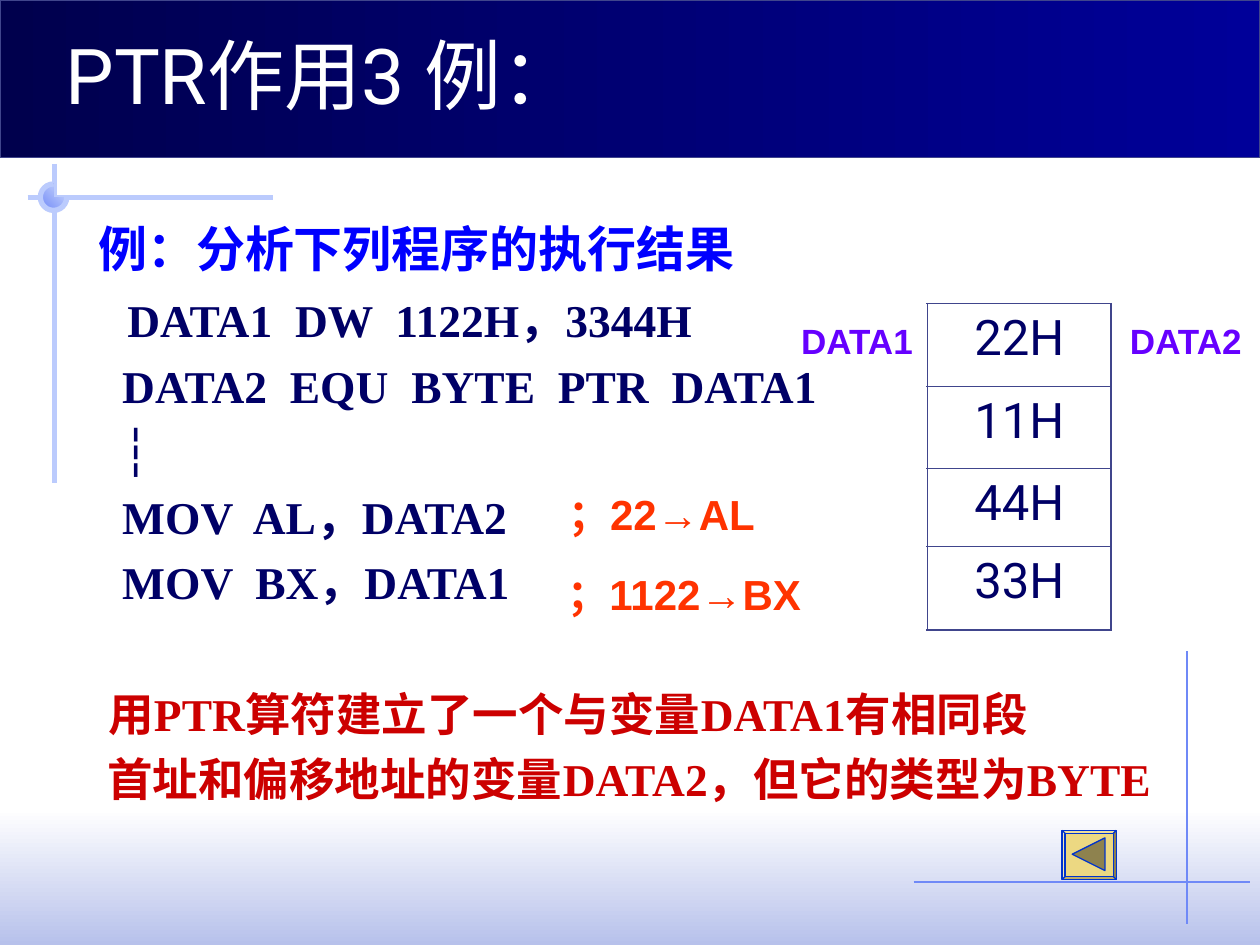
from lxml import etree
from pptx import Presentation
from pptx.dml.color import RGBColor
from pptx.enum.shapes import MSO_CONNECTOR, MSO_SHAPE
from pptx.enum.text import MSO_ANCHOR, MSO_AUTO_SIZE, PP_ALIGN
from pptx.oxml.ns import qn
from pptx.util import Inches, Pt

STRAIGHT = MSO_CONNECTOR.STRAIGHT
RECTANGLE, PIE, ARC, BEVEL = MSO_SHAPE.RECTANGLE, MSO_SHAPE.PIE, MSO_SHAPE.ARC, MSO_SHAPE.BEVEL
LEFT, CENTER = PP_ALIGN.LEFT, PP_ALIGN.CENTER
TOP, BOTTOM = MSO_ANCHOR.TOP, MSO_ANCHOR.BOTTOM
NO_FIT = MSO_AUTO_SIZE.NONE

NAVY, BLUE, RED = "000066", "0000FF", "CC0000"
PALE, RULE, BORDER = "BBCBFD", "6F89F7", "40458C"

TITLE = "PTR作用3 例："
# text, size, colour, indent in inches, space before in points
BODY = [
    ("例：分析下列程序的执行结果", 28, BLUE, 0.26, 0),
    ("DATA1  DW  1122H，3344H", 26, NAVY, 0.49, 8.5),
    ("DATA2  EQU  BYTE  PTR  DATA1", 26, NAVY, 0.45, 6.5),
    ("┆", 26, NAVY, 0.45, 6.5),
    ("MOV  AL，DATA2", 26, NAVY, 0.45, 6.5),
    ("MOV  BX，DATA1", 26, NAVY, 0.45, 6.5),
    ("用PTR算符建立了一个与变量DATA1有相同段", 26, RED, 0.34, 44),
    ("首址和偏移地址的变量DATA2，但它的类型为BYTE", 26, RED, 0.33, 6.5),
]
MEMORY = [("22H", 0.66), ("11H", 0.65), ("44H", 0.62), ("33H", 0.66)]
# text, place, size, colour, alignment, wrap
LABELS = [
    ("DATA1", (6.26, 2.49, 1.13, 0.44), 20, "6600FF", LEFT, False),
    ("DATA2", (8.87, 2.49, 1.13, 0.44), 20, "6600FF", LEFT, False),
    ("；22→AL", (4.33, 3.83, 1.84, 0.5), 24, "FF3300", CENTER, True),
    ("；1122→BX", (4.13, 4.46, 2.6, 0.5), 24, "FF3300", CENTER, True),
]
# start, end, colour, width
RULES = [
    ((9.42, 5.17), (9.42, 7.33), RULE, 0.75),
    ((7.25, 7), (9.92, 7), RULE, 0.75),
    ((0.22, 1.57), (2.17, 1.57), PALE, 3),
    ((0.43, 1.3), (0.43, 3.83), PALE, 3),
]
BALL = (0.32, 1.46, 0.21, 0.21)


def color(code):
    """Turn a hex string into a colour."""
    return RGBColor.from_string(code)


def lengths(values):
    """Turn numbers into inches."""
    return [Inches(value) for value in values]


def write(para, text, font="Arial", size=24, fill=NAVY, bold=False, align=LEFT):
    """Put formatted text into a paragraph."""
    para.alignment = align
    span = para.add_run()
    span.text = text
    span.font.name, span.font.size, span.font.bold = font, Pt(size), bold
    span.font.color.rgb = color(fill)


def paint(shape, fills=(), angle=0, line=None, width=0.75):
    """Give a shape no, one or two fill colours and an optional outline."""
    shape.shadow.inherit = False
    if len(fills) == 2:
        shape.fill.gradient()
        shape.fill.gradient_angle = angle
        for stop, code in zip(shape.fill.gradient_stops, fills):
            stop.color.rgb = color(code)
    elif fills:
        shape.fill.solid()
        shape.fill.fore_color.rgb = color(fills[0])
    else:
        shape.fill.background()
    if line:
        shape.line.color.rgb = color(line)
        shape.line.width = Pt(width)
    else:
        shape.line.fill.background()


def add_preset(page, kind, place, **look):
    """Add a painted preset shape."""
    shape = page.shapes.add_shape(kind, *lengths(place))
    paint(shape, **look)
    return shape


def add_rule(page, start, end, code, width):
    """Add a straight line without shadow."""
    rule = page.shapes.add_connector(STRAIGHT, *lengths(start + end))
    rule.line.color.rgb = color(code)
    rule.line.width = Pt(width)
    etree.SubElement(rule.element.spPr, qn("a:effectLst"))


def add_backdrop(page):
    """Draw the bands, rules and ball behind the text."""
    add_preset(page, RECTANGLE, (0, 6.42, 10, 1.08), fills=("FFFFFF", "B7C1EB"), angle=270)
    for rule in RULES:
        add_rule(page, *rule)
    add_preset(page, PIE, BALL, fills=("6F89F7", "CFDBFD"), angle=45)
    ring = add_preset(page, ARC, BALL, line=PALE, width=3)
    ring.adjustments[0], ring.adjustments[1] = 0, 162
    add_preset(page, RECTANGLE, (0, 0, 10, 1.25), fills=("00004D", "000099"), line=BORDER)


def place_holder(box, place, anchor):
    """Move a placeholder to the front and return its text frame."""
    box.left, box.top, box.width, box.height = lengths(place)
    box.element.getparent().append(box.element)
    frame = box.text_frame
    frame.auto_size, frame.vertical_anchor, frame.word_wrap = NO_FIT, anchor, True
    return frame


def fill_body(frame):
    """Write the program and its explanation."""
    for number, (text, size, code, indent, before) in enumerate(BODY):
        para = frame.paragraphs[0] if number == 0 else frame.add_paragraph()
        layout = para._p.get_or_add_pPr()
        layout.set("marL", str(Inches(indent)))
        layout.set("indent", "0")
        etree.SubElement(layout, qn("a:buNone"))
        para.line_spacing, para.space_before = Pt(31), Pt(before)
        write(para, text, font="Times New Roman", size=size, fill=code, bold=True)


def add_border(cell, side, width):
    """Draw one border of a cell, ahead of its fill."""
    edge = etree.Element(qn("a:" + side), w=str(Pt(width)))
    solid = etree.SubElement(edge, qn("a:solidFill"))
    etree.SubElement(solid, qn("a:srgbClr"), val=BORDER)
    return edge


def add_memory(page):
    """Add the table of memory bytes."""
    height = sum(row for _, row in MEMORY)
    table = page.shapes.add_table(len(MEMORY), 1, *lengths((7.36, 2.41, 1.46, height))).table
    table.first_row = table.horz_banding = False
    last = len(MEMORY) - 1
    for number, (text, row) in enumerate(MEMORY):
        table.rows[number].height = Inches(row)
        cell = table.cell(number, 0)
        cell.fill.background()
        write(cell.text_frame.paragraphs[0], text, font="Roboto", size=28, align=CENTER)
        widths = {"lnL": 1.08, "lnR": 1.08,
                  "lnT": 1.08 if number == 0 else 0.45,
                  "lnB": 1.08 if number == last else 0.45}
        for position, (side, width) in enumerate(widths.items()):
            cell._tc.get_or_add_tcPr().insert(position, add_border(cell, side, width))


def add_label(page, text, place, size, code, align, wrap):
    """Add a bold label."""
    frame = page.shapes.add_textbox(*lengths(place)).text_frame
    frame.word_wrap = wrap
    write(frame.paragraphs[0], text, size=size, fill=code, bold=True, align=align)


def add_back_button(page):
    """Draw the bevelled button with its left-pointing triangle."""
    button = add_preset(page, BEVEL, (8.43, 6.59, 0.43, 0.39), fills=("ECD882",), line="0033CC")
    button.adjustments[0] = 0.06
    builder = page.shapes.build_freeform(*lengths((8.51, 6.78)))
    builder.add_line_segments([lengths(point) for point in ((8.77, 6.65), (8.77, 6.91))])
    paint(builder.convert_to_shape(), fills=("8E824E",), line="0033CC")


def main():
    """Build and save the slide."""
    deck = Presentation()
    deck.slide_width, deck.slide_height = lengths((10, 7.5))
    page = deck.slides.add_slide(deck.slide_layouts[1])
    title, body = page.placeholders
    add_backdrop(page)
    heading = place_holder(title, (0.42, 0.08, 8.5, 0.92), BOTTOM)
    write(heading.paragraphs[0], TITLE, font="Roboto", size=44, fill="FFFFFF")
    fill_body(place_holder(body, (0.42, 1.72, 9.17, 4.92), TOP))
    add_memory(page)
    for label in LABELS:
        add_label(page, *label)
    add_back_button(page)
    deck.save("out.pptx")


if __name__ == "__main__":
    main()
